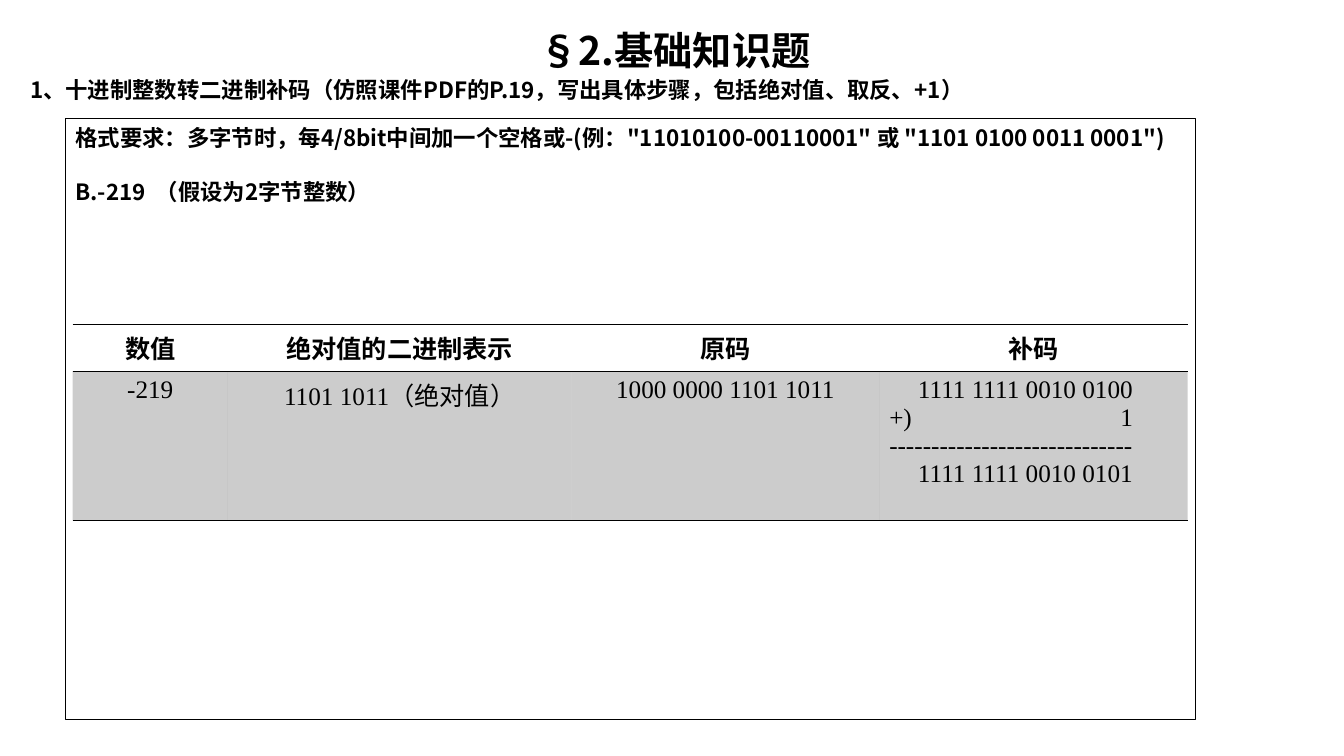
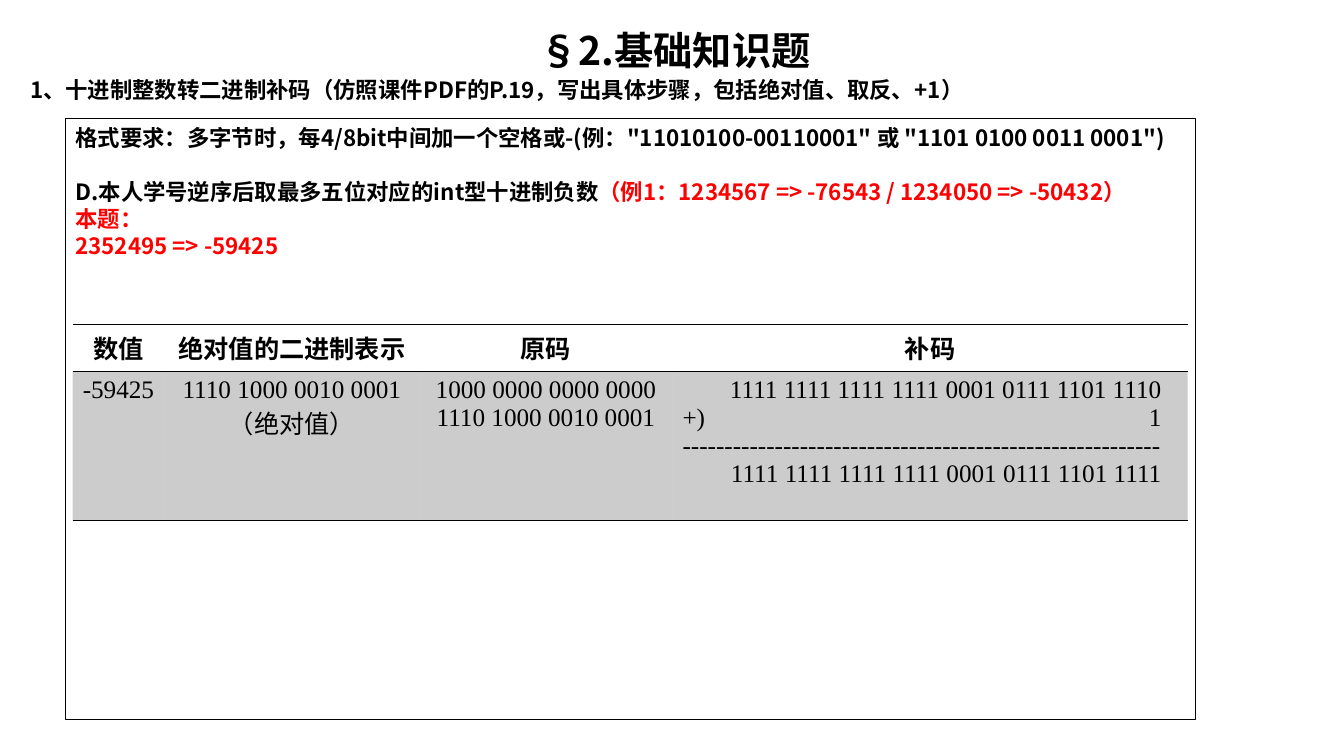
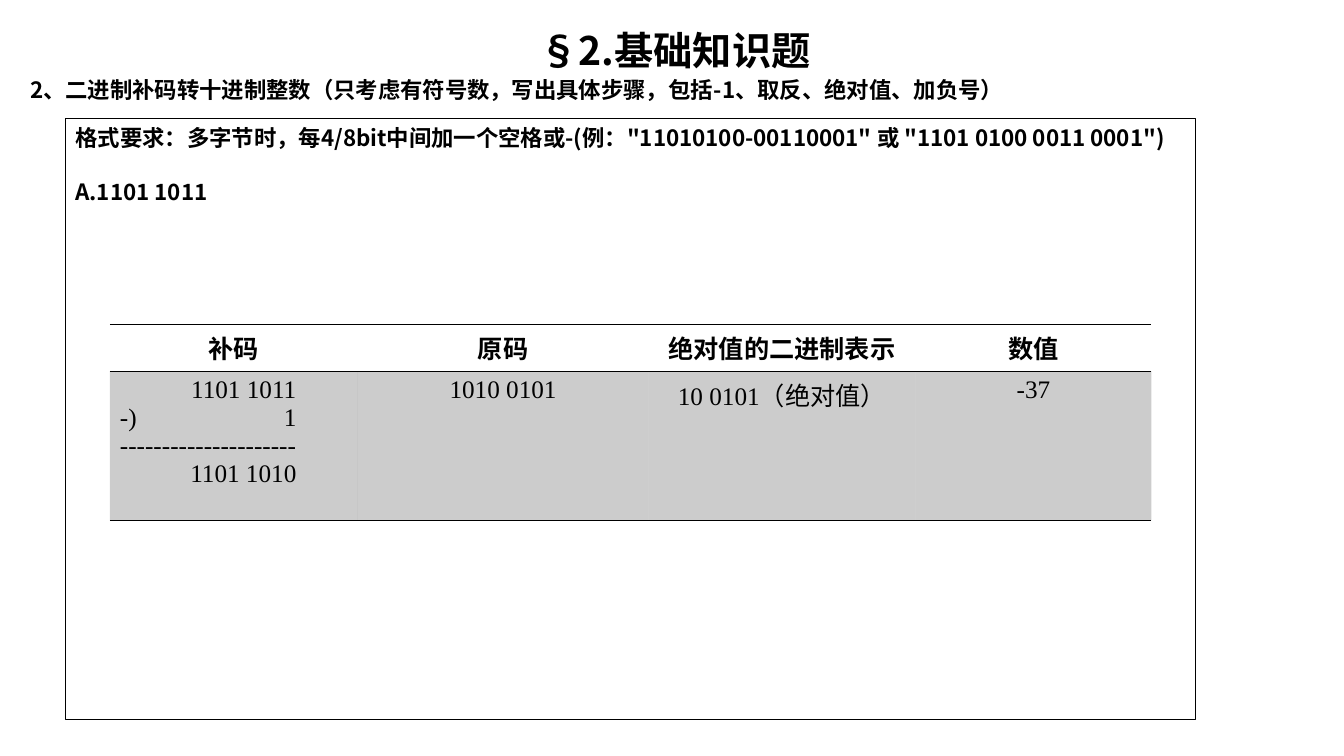
"""Builds three exercise slides on two's complement conversion."""
from dataclasses import dataclass
from typing import Optional

from lxml.etree import SubElement
from pptx import Presentation
from pptx.dml.color import RGBColor
from pptx.enum.shapes import MSO_SHAPE as Shape
from pptx.enum.text import MSO_ANCHOR as Anchor, MSO_AUTO_SIZE as AutoSize, PP_ALIGN as Align
from pptx.oxml.ns import qn
from pptx.util import Inches, Pt


@dataclass(frozen=True)
class Theme:
    sans: str = "Noto Sans CJK SC"
    serif: str = "Times New Roman"
    black: str = "000000"
    red: str = "FF0000"
    title: int = 28
    body: int = 16
    cell: int = 18
    title_leading: float = 36
    body_leading: float = 19.3
    dash_width: float = 6
    row_alpha: int = 20
    no_table_style: str = "{2D5ABB26-0587-4C30-8999-92F81FD0307C}"


@dataclass(frozen=True)
class Span:
    text: str
    color: str = "000000"


@dataclass(frozen=True)
class Sum:
    first: str
    sign: str
    dashes: int
    result: str

    def lines(self) -> list[str]:
        return [f"\t{self.first}", f"{self.sign})\t1", "-" * self.dashes, f"\t{self.result}"]


@dataclass(frozen=True)
class Exercise:
    heading: str
    question: list[list[Span]]
    left: float
    widths: list[float]
    header: list[str]
    values: list[str | Sum]


THEME = Theme()
TITLE = "§2.基础知识题"
FORMAT_RULE = '格式要求：多字节时，每4/8bit中间加一个空格或-(例："11010100-00110001" 或 "1101 0100 0011 0001")'
TO_BINARY = "1、十进制整数转二进制补码（仿照课件PDF的P.19，写出具体步骤，包括绝对值、取反、+1）"
TO_DECIMAL = "2、二进制补码转十进制整数（只考虑有符号数，写出具体步骤，包括-1、取反、绝对值、加负号）"
HEADER = ["数值", "绝对值的二进制表示", "原码", "补码"]

EXERCISES = [
    Exercise(
        TO_BINARY, [[Span("B.-219  （假设为2字节整数）")]],
        0.72, [1.54, 3.41, 3.05, 3.06], HEADER,
        ["-219", "1101 1011（绝对值）", "1000 0000 1101 1011",
         Sum("1111 1111 0010 0100", "+", 29, "1111 1111 0010 0101")],
    ),
    Exercise(
        TO_BINARY,
        [[Span("D.本人学号逆序后取最多五位对应的int型十进制负数"),
          Span("（例1：1234567 => -76543 / 1234050 => -50432）", THEME.red)],
         [Span("本题：", THEME.red)],
         [Span("2352495 => -59425", THEME.red)]],
        0.72, [0.91, 2.53, 2.51, 5.11], HEADER,
        ["-59425", "1110 1000 0010 0001（绝对值）", "1000 0000 0000 0000 1110 1000 0010 0001",
         Sum("1111 1111 1111 1111 0001 0111 1101 1110", "+", 57,
             "1111 1111 1111 1111 0001 0111 1101 1111")],
    ),
    Exercise(
        TO_DECIMAL, [[Span("A.1101 1011")]],
        1.09, [2.46, 2.88, 2.65, 2.34], ["补码", "原码", "绝对值的二进制表示", "数值"],
        [Sum("1101 1011", "-", 21, "1101 1010"), "1010 0101", "10 0101（绝对值）", "-37"],
    ),
]


def write(p, text: str, *, size: int = THEME.body, font: str = THEME.sans,
          color: str = THEME.black, bold: bool = True, align: Align = Align.LEFT,
          leading: Optional[float] = THEME.body_leading, before: float = 0) -> None:
    """Appends one formatted run to a paragraph."""
    p.alignment = align
    p.space_before = Pt(before)
    if leading:
        p.line_spacing = Pt(leading)
    r = p.add_run()
    r.text = text
    r.font.size, r.font.bold, r.font.name = Pt(size), bold, font
    r.font.color.rgb = RGBColor.from_string(color)
    SubElement(r._r.get_or_add_rPr(), qn("a:ea"), typeface=THEME.sans)


def next_paragraph(tf, index: int):
    """Returns the first paragraph of a frame, or adds one after it."""
    return tf.paragraphs[0] if index == 0 else tf.add_paragraph()


def set_frame(tf) -> None:
    """Makes a text frame wrap from its top without resizing."""
    tf.word_wrap = True
    tf.auto_size = AutoSize.NONE
    tf.vertical_anchor = Anchor.TOP


def add_headings(slide, heading: str) -> None:
    """Places the title and the exercise heading under it."""
    sp = slide.shapes.title
    sp.left, sp.top, sp.width, sp.height = Inches(0.2), Inches(0.18), Inches(12.99), Inches(0.57)
    set_frame(sp.text_frame)
    write(sp.text_frame.paragraphs[0], TITLE, size=THEME.title, align=Align.CENTER,
          leading=THEME.title_leading)
    box = slide.shapes.add_textbox(Inches(0.2), Inches(0.7), Inches(12.99), Inches(0.37))
    set_frame(box.text_frame)
    write(box.text_frame.paragraphs[0], heading)


def add_question(slide, question: list[list[Span]]) -> None:
    """Draws the outlined box with the format rule and the question."""
    sp = slide.shapes.add_shape(Shape.RECTANGLE, Inches(0.65), Inches(1.18), Inches(11.21), Inches(5.96))
    sp.shadow.inherit = False
    sp.fill.background()
    sp.line.color.rgb = RGBColor.from_string(THEME.black)
    sp.line.width = Pt(0.75)
    tf = sp.text_frame
    set_frame(tf)
    for i, spans in enumerate([[Span(FORMAT_RULE)], *question]):
        p = next_paragraph(tf, i)
        for span in spans:
            write(p, span.text, color=span.color, before=THEME.body_leading if i == 1 else 0)


def add_solid(parent, alpha: int = 100) -> None:
    """Adds a black fill of the given opacity to an XML element."""
    color = SubElement(SubElement(parent, qn("a:solidFill")), qn("a:srgbClr"), val=THEME.black)
    if alpha < 100:
        SubElement(color, qn("a:alpha"), val=str(alpha * 1000))


def style_cell(cell, header: bool) -> None:
    """Rules a cell above and below, and shades it below the header."""
    tcPr = cell._tc.get_or_add_tcPr()
    for side in ("L", "R", "T", "B"):
        ruled = side in "TB"
        ln = SubElement(tcPr, qn(f"a:ln{side}"), w=str(Pt(1) if ruled else 0))
        if ruled:
            add_solid(ln)
        else:
            SubElement(ln, qn("a:noFill"))
    if header:
        cell.fill.background()
    else:
        add_solid(tcPr, THEME.row_alpha)


def fill_cell(cell, value: str | Sum, header: bool) -> None:
    """Writes a centred value, or a sum aligned on a right tab."""
    is_sum = isinstance(value, Sum)
    for i, line in enumerate(value.lines() if is_sum else [value]):
        p = next_paragraph(cell.text_frame, i)
        write(p, line, size=THEME.cell, font=THEME.serif, bold=header, leading=None,
              align=Align.LEFT if is_sum else Align.CENTER)
        if is_sum:
            tabs = SubElement(p._p.get_or_add_pPr(), qn("a:tabLst"))
            stop = Pt(value.dashes * THEME.dash_width)
            SubElement(tabs, qn("a:tab"), pos=str(stop), algn="r")


def add_steps(slide, ex: Exercise) -> None:
    """Draws the table with the steps of the conversion."""
    rows = [ex.header, ex.values]
    frame = slide.shapes.add_table(len(rows), len(ex.widths), Inches(ex.left), Inches(3.22),
                                   Inches(sum(ex.widths)), Inches(1.83))
    table = frame.table
    table.horz_banding = False
    table._tbl.tblPr.find(qn("a:tableStyleId")).text = THEME.no_table_style
    for column, width in zip(table.columns, ex.widths):
        column.width = Inches(width)
    for row, height in zip(table.rows, (0.35, 1.48)):
        row.height = Inches(height)
    for i, values in enumerate(rows):
        for j, value in enumerate(values):
            cell = table.cell(i, j)
            fill_cell(cell, value, header=i == 0)
            style_cell(cell, header=i == 0)


def main() -> None:
    """Builds and saves the presentation."""
    prs = Presentation()
    prs.slide_width, prs.slide_height = Inches(13.33), Inches(7.5)
    for ex in EXERCISES:
        slide = prs.slides.add_slide(prs.slide_layouts[5])
        add_headings(slide, ex.heading)
        add_question(slide, ex.question)
        add_steps(slide, ex)
    prs.save("out.pptx")


if __name__ == "__main__":
    main()
